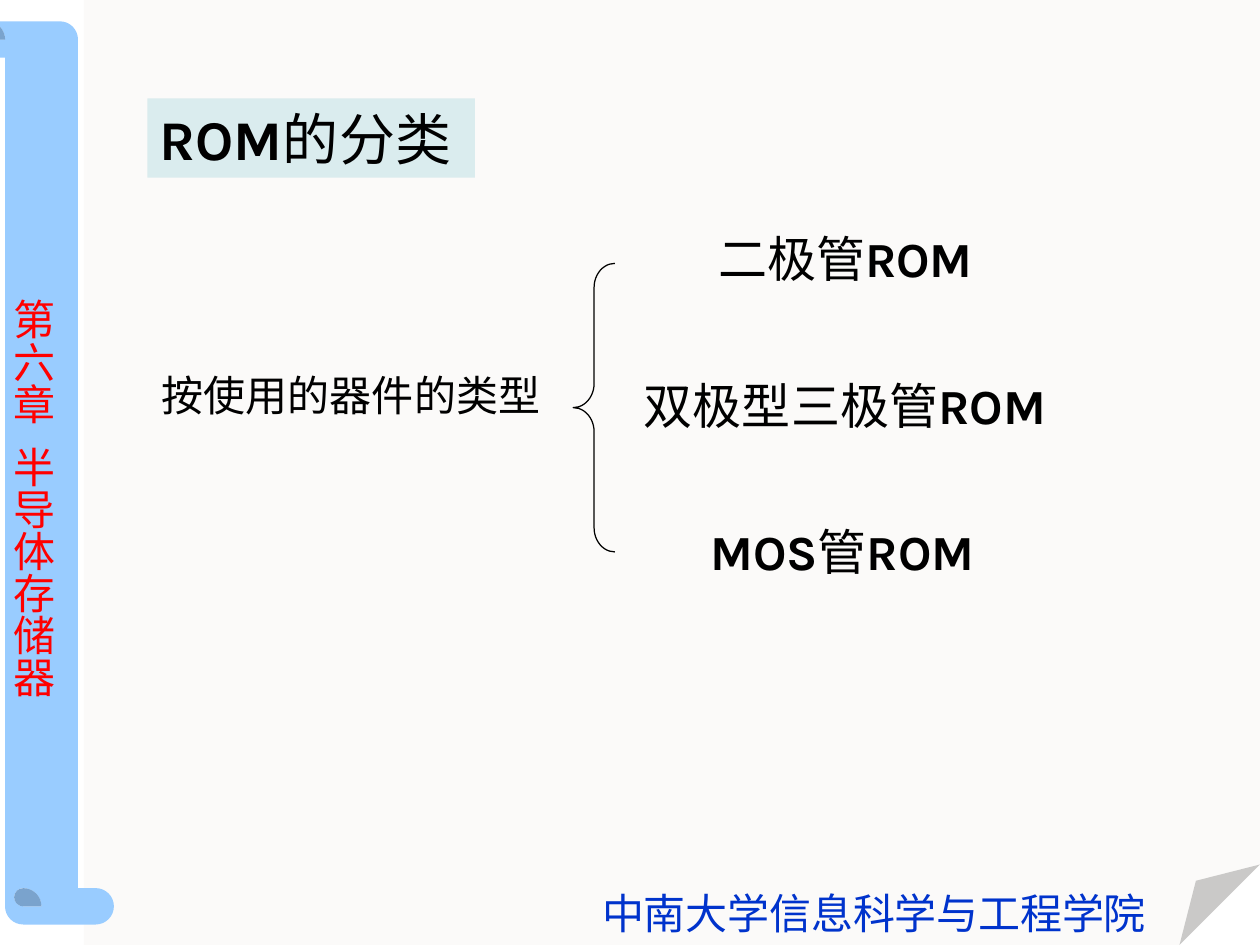
import itertools
import math
from dataclasses import dataclass

import pptx
import pptx.dml.color
import pptx.enum.shapes
import pptx.enum.text
import pptx.oxml.ns
import pptx.util
from lxml import etree

Pt = pptx.util.Pt
RGBColor = pptx.dml.color.RGBColor
MSO_SHAPE = pptx.enum.shapes.MSO_SHAPE
PP_ALIGN = pptx.enum.text.PP_ALIGN
Point = tuple[float, float]

BLACK = RGBColor(0x00, 0x00, 0x00)
RED = RGBColor(0xFF, 0x00, 0x00)
BLUE = RGBColor(0x00, 0x33, 0xCC)
PAPER = RGBColor(0xFB, 0xFA, 0xF9)
PAGE_CURL = RGBColor(0xCA, 0xC9, 0xC8)
SCROLL = RGBColor(0x99, 0xCC, 0xFF)
SCROLL_SHADE = RGBColor(0x7A, 0xA3, 0xCD)
TITLE_FILL = RGBColor(0xDA, 0xEC, 0xEE)

LATIN_FONT = "Karla"
CJK_FONT = "Noto Sans CJK SC"
WIDTH, HEIGHT = 720, 540


@dataclass(frozen=True)
class Box:
    left: float
    top: float
    width: float
    height: float

    def lengths(self) -> list[pptx.util.Length]:
        return [Pt(v) for v in (self.left, self.top, self.width, self.height)]


@dataclass(frozen=True)
class RomType:
    name: str
    box: Box


ROM_TYPES = [
    RomType("二极管ROM", Box(409.7, 129.6, 153.4, 35.3)),
    RomType("双极型三极管ROM", Box(367.2, 213.8, 237.6, 35.3)),
    RomType("MOS管ROM", Box(405.4, 297.4, 161.3, 35.3)),
]


def arc(x: float, y: float, radius: float, start: int, end: int) -> list[Point]:
    """Points on a circle, in degrees clockwise from the right."""
    steps = 8
    angles = [math.radians(start + (end - start) * i / steps) for i in range(steps + 1)]
    return [(x + radius * math.cos(a), y + radius * math.sin(a)) for a in angles]


def draw_outline(shapes, contours: list[list[Point]], fill: RGBColor) -> None:
    first, *others = [[(Pt(x), Pt(y)) for x, y in c] for c in contours]
    builder = shapes.build_freeform(*first[0], scale=1.0)
    builder.add_line_segments(first[1:], close=True)
    for contour in others:
        builder.move_to(*contour[0])
        builder.add_line_segments(contour[1:], close=True)
    outline = builder.convert_to_shape()
    outline.shadow.inherit = False
    outline.fill.solid()
    outline.fill.fore_color.rgb = fill
    outline.line.fill.background()


def is_latin(char: str) -> bool:
    return char.isascii() and char.isalpha()


def draw_text(shapes, box: Box, *lines: str, size: float, color: RGBColor = BLACK,
              fill: RGBColor | None = None, inset: float = 0, indent: float = 0.7,
              align: PP_ALIGN = PP_ALIGN.LEFT, line_height: float | None = None,
              gap: float = 0, cjk_tracking: int = 10) -> None:
    """Latin letters are set bold in their own font; tracking is in 1/100 pt."""
    holder = shapes.add_textbox(*box.lengths())
    if fill is not None:
        holder.fill.solid()
        holder.fill.fore_color.rgb = fill
    frame = holder.text_frame
    frame.word_wrap = True
    frame.margin_left = frame.margin_right = frame.margin_bottom = 0
    frame.margin_top = Pt(inset)
    for index, line in enumerate(lines):
        paragraph = frame.add_paragraph() if index else frame.paragraphs[0]
        paragraph.alignment = align
        if line_height:
            paragraph.line_spacing = Pt(line_height)
        if index:
            paragraph.space_before = Pt(gap)
        paragraph._p.get_or_add_pPr().set("marL", str(Pt(indent)))
        for latin, chars in itertools.groupby(line, is_latin):
            run = paragraph.add_run()
            run.text = "".join(chars)
            run.font.size = Pt(size)
            run.font.bold = latin
            run.font.color.rgb = color
            run.font.name = LATIN_FONT if latin else CJK_FONT
            properties = run._r.get_or_add_rPr()
            properties.set("spc", str(-10 if latin else cjk_tracking))
            etree.SubElement(properties, pptx.oxml.ns.qn("a:ea"),
                             typeface=run.font.name)


def draw_page(shapes) -> None:
    left, fold_x, fold_y = 48, 674, 494
    draw_outline(shapes, [[(WIDTH, 0), (left, 0), (left, HEIGHT), (fold_x, HEIGHT),
                           (WIDTH, fold_y)]], PAPER)
    draw_outline(shapes, [[(WIDTH, fold_y), (683.4, 503.3), (fold_x, HEIGHT)]], PAGE_CURL)


def draw_scroll(shapes) -> None:
    radius, left, right, top, bottom = 10.4, 2.9, 44.6, 12.2, 528.3
    roll_x, roll_y, roll_end = left + radius, bottom - radius, 54.7
    roll_top = roll_y - radius
    shoulder = top + radius
    top_curl = arc(left - radius, shoulder, radius, -45, 0)
    inner_curl = arc(roll_x, roll_y - radius / 2, radius / 2, 90, 270)
    outer_curl = arc(roll_x, roll_y, radius, -90, 0)

    body = [(0, top), *top_curl, (0, shoulder), (0, 33), (left, 33),
            *arc(roll_x, roll_y, radius, 180, 90), *arc(roll_end, roll_y, radius, 90, 0),
            *inner_curl, (right, roll_top), *arc(right - radius, shoulder, radius, 0, -90)]
    roll = [*outer_curl, *arc(roll_end, roll_y, radius, 0, -90)]
    draw_outline(shapes, [body, roll], SCROLL)
    draw_outline(shapes, [[*inner_curl, *outer_curl], [*top_curl, (0, shoulder)]],
                 SCROLL_SHADE)


def draw_brace(shapes, box: Box) -> None:
    brace = shapes.add_shape(MSO_SHAPE.LEFT_BRACE, *box.lengths())
    brace.shadow.inherit = False
    brace.fill.background()
    brace.line.color.rgb = BLACK
    brace.line.width = Pt(0.72)
    brace.adjustments[0] = 0.58
    brace.adjustments[1] = 0.5


def main() -> None:
    deck = pptx.Presentation()
    deck.slide_width, deck.slide_height = Pt(WIDTH), Pt(HEIGHT)
    shapes = deck.slides.add_slide(deck.slide_layouts[6]).shapes

    draw_page(shapes)
    draw_scroll(shapes)
    draw_text(shapes, Box(7.2, 167, 25.9, 234.7), "第 六 章", "半导体存储器", size=24,
              color=RED, inset=5.8, align=PP_ALIGN.JUSTIFY, line_height=24, gap=12,
              cjk_tracking=0)
    draw_text(shapes, Box(84.2, 56.2, 187.2, 45.4), "ROM的分类", size=32,
              fill=TITLE_FILL, inset=3.6, indent=7.2)
    draw_text(shapes, Box(91.4, 210.2, 218.9, 31), "按使用的器件的类型", size=24, inset=0.7)
    draw_brace(shapes, Box(327.6, 150.5, 23.8, 164.9))
    for rom in ROM_TYPES:
        draw_text(shapes, rom.box, rom.name, size=28, inset=0.7)
    draw_text(shapes, Box(343.4, 509.8, 313.9, 25.9), "中南大学信息科学与工程学院", size=24,
              color=BLUE, line_height=26, cjk_tracking=-10)

    deck.save("out.pptx")


if __name__ == "__main__":
    main()
